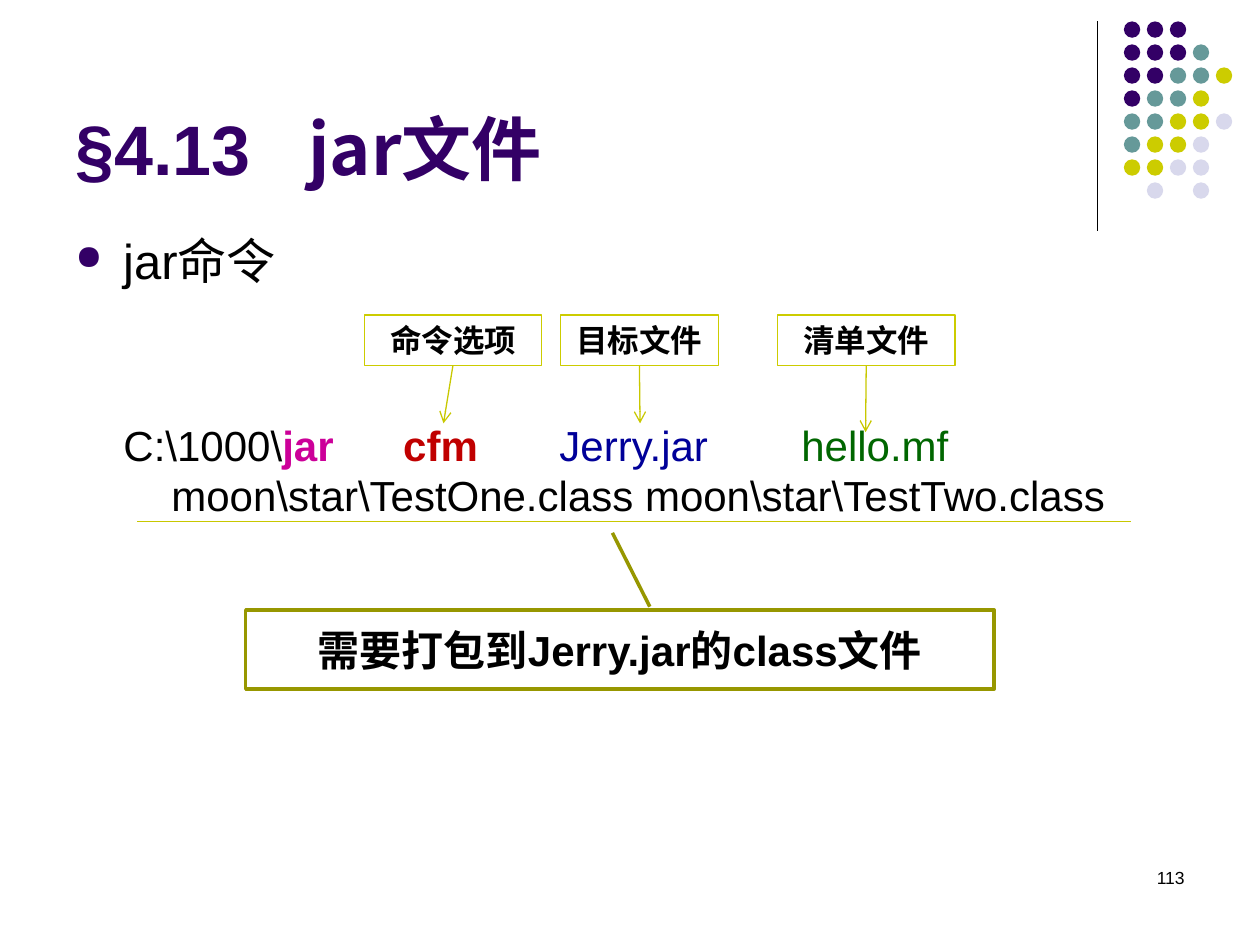
"""Builds the slide on the jar command and its arguments."""
from dataclasses import dataclass

from lxml import etree
from pptx import Presentation
from pptx.dml.color import RGBColor
from pptx.enum.shapes import MSO_CONNECTOR, MSO_SHAPE
from pptx.enum.text import MSO_ANCHOR, PP_ALIGN
from pptx.oxml.ns import qn
from pptx.util import Inches, Pt

STRAIGHT = MSO_CONNECTOR.STRAIGHT
OVAL, RECTANGLE = MSO_SHAPE.OVAL, MSO_SHAPE.RECTANGLE
CALLOUT = MSO_SHAPE.LINE_CALLOUT_1
TOP, MIDDLE, BOTTOM = MSO_ANCHOR.TOP, MSO_ANCHOR.MIDDLE, MSO_ANCHOR.BOTTOM
LEFT, CENTER, RIGHT = PP_ALIGN.LEFT, PP_ALIGN.CENTER, PP_ALIGN.RIGHT


@dataclass(frozen=True)
class Theme:
    """Colours, fonts and type sizes."""
    latin: str = "Arial"
    chinese: str = "Noto Sans CJK SC"
    ink: str = "000000"
    paper: str = "FFFFFF"
    purple: str = "330066"
    teal: str = "669999"
    lime: str = "CCCC00"
    lilac: str = "D8D8EC"
    olive: str = "979700"
    arrow: str = "C8C800"
    magenta: str = "CC0099"
    red: str = "C00000"
    blue: str = "000099"
    green: str = "006600"
    title: int = 40
    body: int = 28
    command: int = 24
    label: int = 18
    number: int = 10


class Painter:
    """Holds the theme and the current page, and draws each kind of element."""

    def __init__(self, theme, page):
        self.theme = theme
        self.page = page

    def span(self, para, text, size, color=None, bold=False, font=None):
        """Add one run of text."""
        span = para.add_run()
        span.text = text
        span.font.size = Pt(size)
        span.font.bold = bold
        span.font.color.rgb = RGBColor.from_string(color or self.theme.ink)
        span.font.name = font or self.theme.latin
        east_asian = etree.SubElement(span.font._element, qn("a:ea"))
        east_asian.set("typeface", self.theme.chinese)

    def frame(self, shape, anchor=TOP, align=LEFT, inset=(0.1, 0.05)):
        """Prepare the text frame of a shape and return its first paragraph."""
        frame = shape.text_frame
        frame.word_wrap = True
        frame.vertical_anchor = anchor
        frame.margin_left = frame.margin_right = Inches(inset[0])
        frame.margin_top = frame.margin_bottom = Inches(inset[1])
        para = frame.paragraphs[0]
        para.alignment = align
        return para

    def text(self, place, **options):
        """Add a text box and return its first paragraph."""
        box = self.page.shapes.add_textbox(*map(Inches, place))
        return self.frame(box, **options)

    def tabs(self, para, stops):
        """Set left tab stops, in inches from the text edge."""
        tab_list = etree.SubElement(para._p.get_or_add_pPr(), qn("a:tabLst"))
        for stop in stops:
            etree.SubElement(tab_list, qn("a:tab"), pos=str(Inches(stop)), algn="l")

    def bullet(self, para, indent):
        """Give a paragraph a round bullet with a hanging indent."""
        props = para._p.get_or_add_pPr()
        props.set("marL", str(Inches(indent)))
        props.set("indent", str(-Inches(indent)))
        color = etree.SubElement(props, qn("a:buClr"))
        etree.SubElement(color, qn("a:srgbClr"), val=self.theme.purple)
        etree.SubElement(props, qn("a:buSzPct"), val="70000")
        etree.SubElement(props, qn("a:buChar"), char="●")

    def shape(self, kind, place, fill=None, line=None, width=0.75):
        """Add a preset shape without a shadow."""
        shape = self.page.shapes.add_shape(kind, *map(Inches, place))
        shape.shadow.inherit = False
        if fill:
            shape.fill.solid()
            shape.fill.fore_color.rgb = RGBColor.from_string(fill)
        else:
            shape.fill.background()
        if line:
            shape.line.color.rgb = RGBColor.from_string(line)
            shape.line.width = Pt(width)
        else:
            shape.line.fill.background()
        return shape

    def line(self, start, end, color, arrow=False):
        """Add a straight line, with an arrowhead at its end if asked."""
        line = self.page.shapes.add_connector(STRAIGHT, *map(Inches, start + end))
        line.line.color.rgb = RGBColor.from_string(color)
        line.line.width = Pt(0.75)
        if arrow:
            etree.SubElement(line.line._get_or_add_ln(), qn("a:tailEnd"), type="arrow")
        etree.SubElement(line._element.spPr, qn("a:effectLst"))

    def dots(self, rows, left, top, pitch, size):
        """Add a grid of dots, one letter for each colour."""
        theme = self.theme
        colors = {"P": theme.purple, "T": theme.teal, "L": theme.lime, "W": theme.lilac}
        for row, letters in enumerate(rows):
            for column, letter in enumerate(letters):
                if letter in colors:
                    place = (left + column * pitch, top + row * pitch, size, size)
                    self.shape(OVAL, place, fill=colors[letter])

    def label(self, text, left, width, tip):
        """Add a framed label with an arrow down to its argument."""
        theme = self.theme
        top, height = 2.5, 0.4
        box = self.shape(RECTANGLE, (left, top, width, height), line=theme.lime)
        para = self.frame(box, MIDDLE, CENTER, inset=(0.05, 0))
        self.span(para, text, theme.label, bold=True)
        self.line((left + width / 2, top + height), tip, theme.arrow, arrow=True)

    def callout(self, text, place, adjustments):
        """Add a line callout with centred bold text."""
        theme = self.theme
        box = self.shape(CALLOUT, place, theme.paper, theme.olive, 2)
        for index, value in enumerate(adjustments):
            box.adjustments[index] = value
        para = self.frame(box, MIDDLE, CENTER)
        self.span(para, text, theme.command, bold=True)


def main():
    """Build and save the deck."""
    deck = Presentation()
    deck.slide_width, deck.slide_height = Inches(10), Inches(7.5)
    theme = Theme()
    painter = Painter(theme, deck.slides.add_slide(deck.slide_layouts[6]))

    painter.line((8.71, 0.17), (8.71, 1.83), theme.ink)
    rows = ("PPP", "PPPT", "PPTTL", "PTTL", "TTLLW", "TLLW", "LLWW", ".W.W")
    painter.dots(rows, 8.92, 0.17, 0.73 / 4, 0.13)

    title = painter.text((0.5, 0.13, 8.25, 1.42), anchor=BOTTOM)
    painter.tabs(title, [1.85])
    painter.span(title, "§4.13\t", theme.title, theme.purple, True)
    painter.span(title, "jar文件", theme.title, theme.purple, True, theme.chinese)

    topic = painter.text((0.5, 1.78, 9, 0.6))
    painter.bullet(topic, 0.38)
    painter.span(topic, "jar命令", theme.body)

    command = painter.text((0.98, 3.33, 8.42, 0.8), inset=(0, 0))
    painter.tabs(command, [2.22, 3.46, 5.38])
    for text, color, bold in (
        ("C:\\1000\\", theme.ink, False),
        ("jar\t", theme.magenta, True),
        ("cfm\t", theme.red, True),
        ("Jerry.jar\t", theme.blue, False),
        ("hello.mf", theme.green, False),
    ):
        painter.span(command, text, theme.command, color, bold)
    classes = painter.text((1.36, 3.73, 8.04, 0.4), inset=(0, 0))
    painter.span(classes, "moon\\star\\TestOne.class moon\\star\\TestTwo.class", theme.command)

    number = painter.text((7.17, 6.83, 2.33, 0.5), align=RIGHT)
    painter.span(number, "113", theme.number)

    painter.callout("需要打包到Jerry.jar的class文件", (1.95, 4.84, 5.94, 0.63),
                    (-0.04, 0.54, -0.97, 0.49))
    painter.line((1.09, 4.14), (8.98, 4.14), theme.arrow)
    for text, left, width, tip in (
        ("清单文件", 6.17, 1.41, (6.87, 3.43)),
        ("命令选项", 2.89, 1.41, (3.52, 3.36)),
        ("目标文件", 4.45, 1.25, (5.08, 3.36)),
    ):
        painter.label(text, left, width, tip)

    deck.save("out.pptx")


if __name__ == "__main__":
    main()
